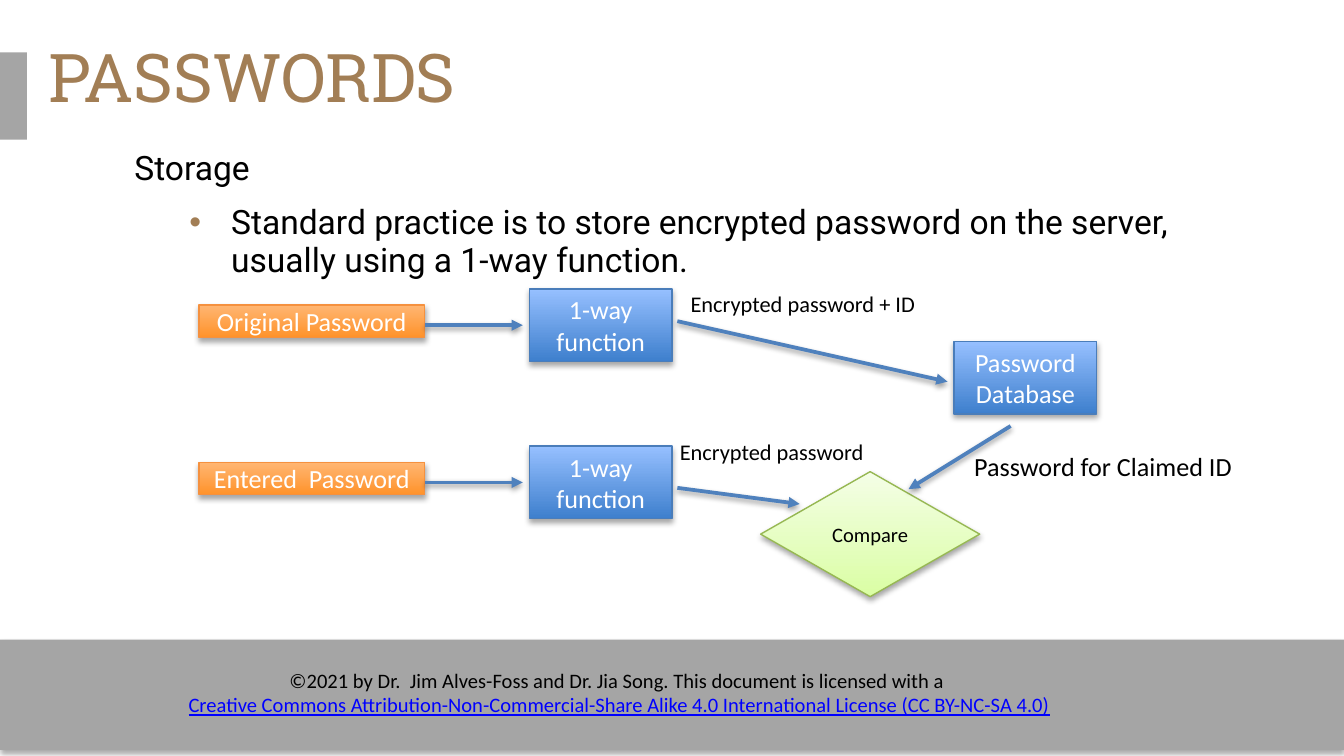
from lxml.etree import SubElement
from pptx import Presentation
from pptx.dml.color import RGBColor
from pptx.enum.shapes import MSO_CONNECTOR, MSO_SHAPE
from pptx.enum.text import MSO_ANCHOR, PP_ALIGN
from pptx.oxml.ns import qn
from pptx.util import Pt

PX = 9144  # EMU, 100 px to the inch
BLUE = ("3E7FCD", "96C0FF", "4A7DBA")
ORANGE = ("FF932B", "FFB673", "F5913F")
GREEN = ("DAFEA4", "F4FEE6", "97B853")
GRAY, TAN, ARROW = "A5A5A5", "A27E55", "4F81BD"


def emu(*nums):
    return [n * PX for n in nums]


def rgb(code):
    return RGBColor.from_string(code)


def style(par, size, color, font="Calibri", align=PP_ALIGN.LEFT):
    par.alignment = align
    for run in par.runs:
        run.font.size = Pt(size)
        run.font.name = font
        run.font.color.rgb = rgb(color)


def shade(shape, alpha=35, dist=1.8):
    """Give the shape a soft shadow below it; its line must be set first."""
    effects = SubElement(shape._element.spPr, qn("a:effectLst"))
    outer = SubElement(effects, qn("a:outerShdw"), blurRad=str(Pt(3.1)),
                       dist=str(Pt(dist)), dir="5400000", rotWithShape="0")
    black = SubElement(outer, qn("a:srgbClr"), val="000000")
    SubElement(black, qn("a:alpha"), val=str(alpha * 1000))


def bar(shapes, box):
    shape = shapes.add_shape(MSO_SHAPE.RECTANGLE, *emu(*box))
    shape.fill.solid()
    shape.fill.fore_color.rgb = rgb(GRAY)
    shape.line.fill.background()
    return shape


def node(shapes, box, text, look, kind=MSO_SHAPE.RECTANGLE, size=14, ink="FFFFFF"):
    shape = shapes.add_shape(kind, *emu(*box))
    low, high, edge = look
    shape.fill.gradient()
    shape.fill.gradient_angle = 90
    for stop, color in zip(shape.fill.gradient_stops, (low, high)):
        stop.color.rgb = rgb(color)
    shape.line.color.rgb = rgb(edge)
    shape.line.width = Pt(0.75)
    shade(shape)
    frame = shape.text_frame
    frame.word_wrap = True
    frame.vertical_anchor = MSO_ANCHOR.MIDDLE
    frame.text = text
    style(frame.paragraphs[0], size, ink, align=PP_ALIGN.CENTER)


def arrow(shapes, start, end):
    line = shapes.add_connector(MSO_CONNECTOR.STRAIGHT, *emu(*start, *end))
    line.line.color.rgb = rgb(ARROW)
    line.line.width = Pt(2)
    SubElement(line.line._ln, qn("a:tailEnd"), type="triangle")
    shade(line, 38, 1.6)


def label(shapes, box, text, size=12):
    frame = shapes.add_textbox(*emu(*box)).text_frame
    frame.word_wrap = True
    frame.text = text
    style(frame.paragraphs[0], size, "000000")


def encrypt(shapes, x, y, text):
    """Place a password box that feeds the 1-way function."""
    node(shapes, (x + 246, y, 106, 54), "1-way function", BLUE)
    node(shapes, (x, y + 12, 168, 24), text, ORANGE)
    arrow(shapes, (x + 168, y + 27), (x + 241, y + 27))


def store(slide, x, y):
    shapes = slide.shapes.add_group_shape().shapes
    encrypt(shapes, x, y + 4, "Original Password")
    node(shapes, (x + 562, y + 43, 106, 54), "Password Database", BLUE)
    arrow(shapes, (x + 356, y + 28), (x + 557, y + 73))
    label(shapes, (x + 356, y, 216, 30), "Encrypted password + ID")


def check(slide, x, y):
    shapes = slide.shapes.add_group_shape().shapes
    encrypt(shapes, x, y + 11, "Entered  Password")
    node(shapes, (x + 418, y + 30, 163, 93), "Compare", GREEN,
         MSO_SHAPE.DIAMOND, 11, "000000")
    label(shapes, (x + 567, y + 9, 216, 34), "Password for Claimed ID", 14)
    arrow(shapes, (x + 604, y - 4), (x + 528, y + 43))
    arrow(shapes, (x + 356, y + 42), (x + 447, y + 54))
    label(shapes, (x + 348, y, 216, 30), "Encrypted password")


def footer(slide, x, y, w, h):
    shade(bar(slide.shapes, (x, y, w, h)))
    frame = slide.shapes.add_textbox(*emu(x + 101, y + 16, 720, 47)).text_frame
    frame.word_wrap = True
    frame.text = (
        "©2021 by Dr.  Jim Alves-Foss and Dr. Jia Song. "
        "This document is licensed with a \n"
        "Creative Commons Attribution-Non-Commercial-Share Alike 4.0 "
        "International License (CC BY-NC-SA 4.0)")
    for par, color in zip(frame.paragraphs, ("000000", "0000FF")):
        style(par, 11, color, align=PP_ALIGN.CENTER)
    frame.paragraphs[1].runs[0].font.underline = True


def trim(frame):
    """Wrap the text and take away the insets."""
    frame.word_wrap = True
    frame.margin_left = frame.margin_right = 0
    frame.margin_top = frame.margin_bottom = 0


def heading(slide, x, y, w, h):
    bar(slide.shapes, (x - 39, y + 16, 23, 65)).shadow.inherit = False
    title = slide.shapes.title
    title.left, title.top, title.width, title.height = emu(x, y, w, h)
    frame = title.text_frame
    trim(frame)
    frame.vertical_anchor = MSO_ANCHOR.BOTTOM
    frame.text = "PASSWORDS"
    style(frame.paragraphs[0], 36, TAN, "Roboto Slab")


def body(slide, *box):
    frame = slide.shapes.add_textbox(*emu(*box)).text_frame
    trim(frame)
    frame.text = ("Storage\nStandard practice is to store encrypted password "
                  "on the server, usually using a 1-way function.")
    topic, point = frame.paragraphs
    for par, space in ((topic, 1.2), (point, 0.95)):
        style(par, 18, "000000", "Roboto")
        par.line_spacing = space
    point.level = 1
    point.space_before = Pt(9)
    props = point._p.get_or_add_pPr()
    props.set("marL", str(72 * PX))
    props.set("indent", str(-31 * PX))
    tint = SubElement(props, qn("a:buClr"))
    SubElement(tint, qn("a:srgbClr"), val=TAN)
    SubElement(props, qn("a:buFont"), typeface="Arial")
    SubElement(props, qn("a:buChar"), char="•")


def main():
    deck = Presentation()
    deck.slide_width = 1000 * PX
    deck.slide_height = deck.slide_width * 9 // 16
    slide = deck.slides.add_slide(deck.slide_layouts[5])
    footer(slide, 0, 476, 1000, 82)
    heading(slide, 36, 23, 900, 63)
    body(slide, 100, 103, 836, 361)
    store(slide, 148, 211)
    check(slide, 148, 321)
    deck.save("out.pptx")


if __name__ == "__main__":
    main()
